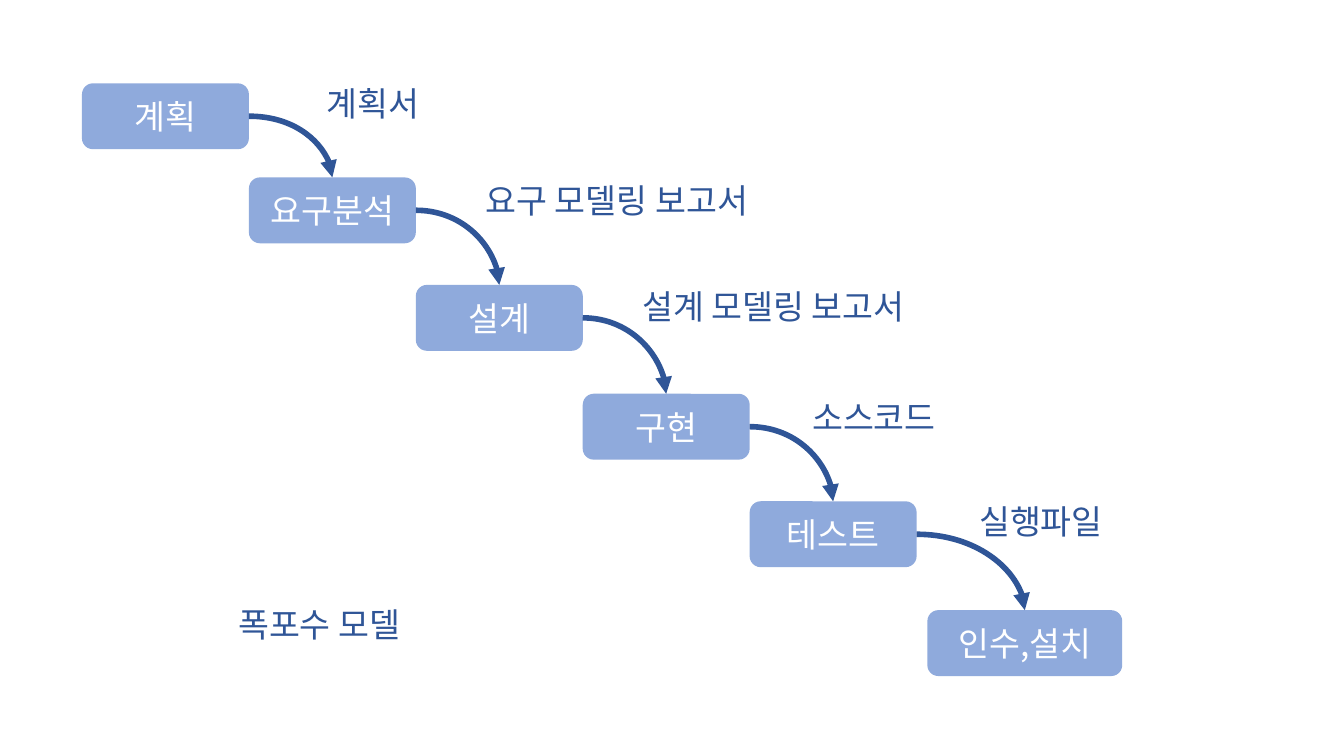
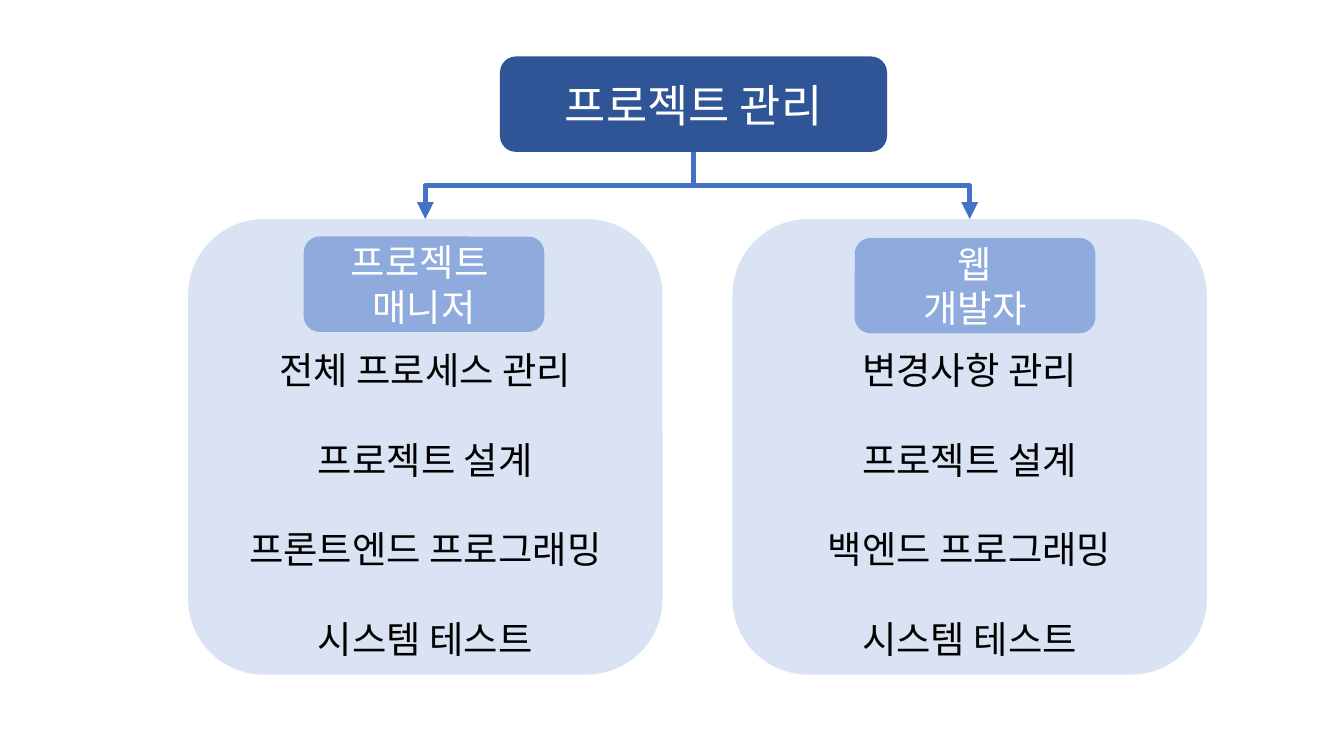
import pptx
import pptx.util
import pptx.dml.color
import pptx.enum.shapes
import pptx.enum.text
import pptx.oxml
import pptx.oxml.ns
from dataclasses import dataclass
from lxml import etree

Inches, Pt = pptx.util.Inches, pptx.util.Pt
CONNECTOR = pptx.enum.shapes.MSO_CONNECTOR


@dataclass(frozen=True)
class Theme:
    font: str = "Noto Sans CJK KR"
    navy: str = "2F5597"
    blue: str = "4472C4"
    sky: str = "8FAADC"
    pale: str = "DAE3F3"
    white: str = "FFFFFF"
    black: str = "000000"
    step_size: int = 18
    role_size: int = 20
    title_size: int = 24
    arrow_width: int = 3


THEME = Theme()

# Waterfall: step and its top
STEPS = [
    ("계획", 0.62),
    ("요구분석", 1.32),
    ("설계", 2.12),
    ("구현", 2.93),
    ("테스트", 3.73),
]
FINAL_STEP, FINAL_PLACE = "인수,설치", (6.9, 4.54, 1.45, 0.49)
# Deliverable of each step but the final one: text, top, width
DELIVERABLES = [
    ("계획서", 0.52, 1.85),
    ("요구 모델링 보고서", 1.24, 2.99),
    ("설계 모델링 보고서", 2.03, 2.84),
    ("소스코드", 2.86, 1.85),
    ("실행파일", 3.63, 1.85),
]
MODEL_NAME = "폭포수 모델"
STEPS_LEFT, STEPS_RIGHT, STEP_HEIGHT = 0.61, 6.82, 0.49
STEP_WIDTH = (STEPS_RIGHT - STEPS_LEFT) / len(STEPS)

# Organisation
PROJECT = "프로젝트 관리"
ROLES = [
    {"name": ["프로젝트 ", "매니저"], "badge": (2.26, 1.76),
     "tasks": ["전체 프로세스 관리", "프로젝트 설계", "프론트엔드 프로그래밍", "시스템 테스트"]},
    {"name": ["웹", "개발자"], "badge": (6.36, 1.77),
     "tasks": ["변경사항 관리", "프로젝트 설계", "백엔드 프로그래밍", "시스템 테스트"]},
]
PROJECT_BOX = (3.72, 0.42, 2.88, 0.71)
PANEL_LEFT, PANEL_PITCH, PANEL_TOP = 1.4, 4.05, 1.63
PANEL_WIDTH, PANEL_HEIGHT = 3.53, 3.39
TASKS_INSET, TASKS_TOP, TASKS_HEIGHT, TASK_GAP = 0.05, 2.48, 2.54, 24
BADGE_SIZE = (1.79, 0.71)


def rgb(colour):
    return pptx.dml.color.RGBColor.from_string(colour)


def add_box(slide, place, lines=(), size=THEME.step_size,
            colour=THEME.white, fill=None, gap=0):
    """Rounded box with centred lines; no fill makes it a plain label."""
    box = slide.shapes.add_shape(
        pptx.enum.shapes.MSO_SHAPE.ROUNDED_RECTANGLE, *map(Inches, place))
    box.shadow.inherit = False
    box.line.fill.background()
    if fill:
        box.fill.solid()
        box.fill.fore_color.rgb = rgb(fill)
    else:
        box.fill.background()
    frame = box.text_frame
    frame.word_wrap = True
    frame.vertical_anchor = pptx.enum.text.MSO_ANCHOR.MIDDLE
    for index, line in enumerate(lines):
        paragraph = frame.add_paragraph() if index else frame.paragraphs[0]
        paragraph.alignment = pptx.enum.text.PP_ALIGN.CENTER
        if index and gap:
            paragraph.space_before = Pt(gap)
        run = paragraph.add_run()
        run.text = line
        run.font.size = Pt(size)
        run.font.color.rgb = rgb(colour)
        run.font.name = THEME.font
        east_asian = pptx.oxml.ns.qn("a:ea")
        etree.SubElement(run.font._element, east_asian, typeface=THEME.font)


def add_arrow(slide, kind, start, end, colour):
    arrow = slide.shapes.add_connector(kind, *map(Inches, (*start, *end)))
    arrow.line.color.rgb = rgb(colour)
    arrow.line.width = Pt(THEME.arrow_width)
    qn = pptx.oxml.ns.qn
    etree.SubElement(arrow.line._get_or_add_ln(), qn("a:tailEnd"), type="triangle")
    etree.SubElement(arrow._element.spPr, qn("a:effectLst"))
    return arrow


def add_curve(slide, start, end):
    """Quarter curve that leaves sideways and arrives from above."""
    curve = add_arrow(slide, CONNECTOR.CURVE, start, end, THEME.navy)
    curve._element.spPr.find(pptx.oxml.ns.qn("a:prstGeom")).set("prst", "curvedConnector2")


def add_branch(slide, start, end):
    """Elbow that goes down, across and down: a sideways elbow, turned."""
    (x1, y1), (x2, y2) = start, end
    mid_x, mid_y = (x1 + x2) / 2, (y1 + y2) / 2
    half_drop, half_span = (y2 - y1) / 2, abs(x2 - x1) / 2
    if x2 > x1:
        half_drop, turn = -half_drop, 270
    else:
        turn = 90
    branch = add_arrow(slide, CONNECTOR.ELBOW,
                       (mid_x - half_drop, mid_y - half_span),
                       (mid_x + half_drop, mid_y + half_span), THEME.blue)
    branch._element.spPr.find(pptx.oxml.ns.qn("a:xfrm")).set("rot", str(turn * 60000))


# Widescreen, 16 to 9
deck = pptx.Presentation()
deck.slide_width = Inches(10)
deck.slide_height = deck.slide_width * 9 // 16
blank = deck.slide_layouts[6]

# Slide 1: each step starts where the one before ends
waterfall = deck.slides.add_slide(blank)
places = [(STEPS_LEFT + index * STEP_WIDTH, top, STEP_WIDTH, STEP_HEIGHT)
          for index, (_, top) in enumerate(STEPS)] + [FINAL_PLACE]
names = [name for name, _ in STEPS] + [FINAL_STEP]
for name, place in zip(names, places):
    add_box(waterfall, place, [name], fill=THEME.sky)

# Curves and deliverables between neighbouring steps
for here, after, (text, top, width) in zip(places, places[1:], DELIVERABLES):
    right = here[0] + here[2]
    add_curve(waterfall, (right, here[1] + STEP_HEIGHT / 2),
              (after[0] + after[2] / 2, after[1]))
    add_box(waterfall, (right, top, width, STEP_HEIGHT), [text], colour=THEME.navy)
add_box(waterfall, (1.45, 4.4, 1.85, STEP_HEIGHT), [MODEL_NAME], colour=THEME.navy)

# Slide 2: project on top, one panel per role below
organisation = deck.slides.add_slide(blank)
add_box(organisation, PROJECT_BOX, [PROJECT], THEME.title_size, fill=THEME.navy)
project_foot = (PROJECT_BOX[0] + PROJECT_BOX[2] / 2, PROJECT_BOX[1] + PROJECT_BOX[3])
for index, role in enumerate(ROLES):
    left = PANEL_LEFT + index * PANEL_PITCH
    add_box(organisation, (left, PANEL_TOP, PANEL_WIDTH, PANEL_HEIGHT), fill=THEME.pale)
    add_box(organisation, (*role["badge"], *BADGE_SIZE), role["name"],
            THEME.role_size, fill=THEME.sky)
    add_box(organisation,
            (left + TASKS_INSET, TASKS_TOP, PANEL_WIDTH - 2 * TASKS_INSET, TASKS_HEIGHT),
            role["tasks"], THEME.role_size, THEME.black, gap=TASK_GAP)
    add_branch(organisation, project_foot, (left + PANEL_WIDTH / 2, PANEL_TOP))

deck.save("out.pptx")
